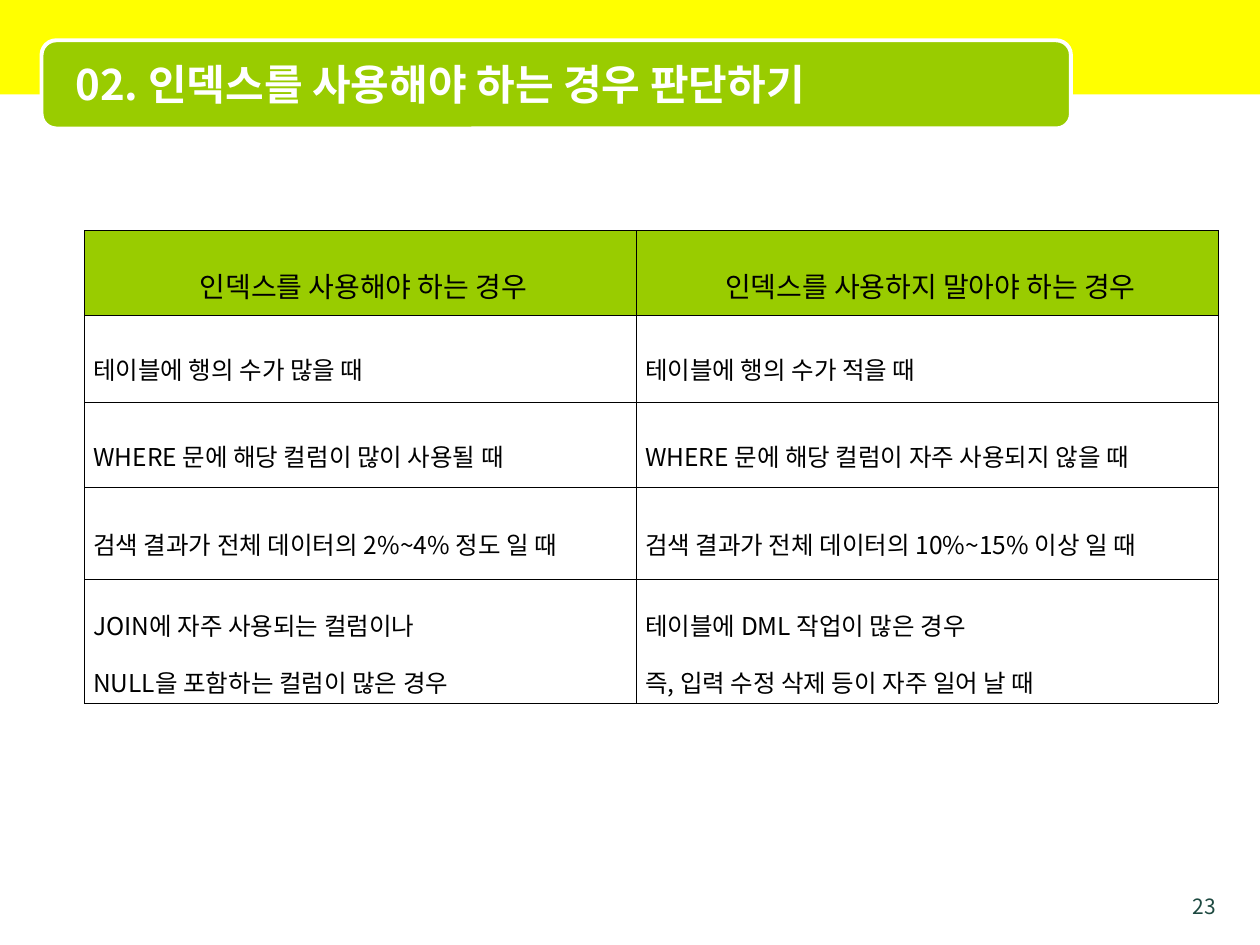
from lxml.etree import SubElement
from pptx import Presentation
from pptx.dml.color import RGBColor
from pptx.enum.shapes import MSO_SHAPE
from pptx.enum.text import MSO_ANCHOR, PP_ALIGN
from pptx.oxml.ns import qn
from pptx.util import Inches, Pt

FONT = "Noto Sans CJK KR"
YELLOW = RGBColor(0xFF, 0xFF, 0x00)
GREEN = RGBColor(0x99, 0xCC, 0x00)
DARK_GREEN = RGBColor(0x1D, 0x49, 0x40)
WHITE = RGBColor(0xFF, 0xFF, 0xFF)
BLACK = RGBColor(0x00, 0x00, 0x00)

COLUMN_WIDTHS = [4.38, 4.62]
ROW_HEIGHTS = [0.67, 0.69, 0.68, 0.73, 0.98]
ROWS = [
    ("인덱스를 사용해야 하는 경우", "인덱스를 사용하지 말아야 하는 경우"),
    ("테이블에 행의 수가 많을 때", "테이블에 행의 수가 적을 때"),
    ("WHERE 문에 해당 컬럼이 많이 사용될 때",
     "WHERE 문에 해당 컬럼이 자주 사용되지 않을 때"),
    ("검색 결과가 전체 데이터의 2%~4% 정도 일 때",
     "검색 결과가 전체 데이터의 10%~15% 이상 일 때"),
    ("JOIN에 자주 사용되는 컬럼이나\nNULL을 포함하는 컬럼이 많은 경우",
     "테이블에 DML 작업이 많은 경우\n즉, 입력 수정 삭제 등이 자주 일어 날 때"),
]


def style_paragraph(para, size, color, align, bold=False):
    para.alignment = align
    font = para.font
    font.size = Pt(size)
    font.bold = bold
    font.color.rgb = color
    font.name = FONT
    # Hangul takes its typeface from the East Asian font
    SubElement(para._p.pPr.find(qn("a:defRPr")), qn("a:ea"), typeface=FONT)


def add_panel(page, kind, box, fill):
    panel = page.shapes.add_shape(kind, *map(Inches, box))
    panel.shadow.inherit = False
    panel.fill.solid()
    panel.fill.fore_color.rgb = fill
    panel.line.fill.background()
    return panel


def add_label(page, box, text, size, color, align, anchor=MSO_ANCHOR.TOP, bold=False):
    frame = page.shapes.add_textbox(*map(Inches, box)).text_frame
    frame.word_wrap = True
    frame.vertical_anchor = anchor
    frame.text = text
    style_paragraph(frame.paragraphs[0], size, color, align, bold)


def add_header(page, left, top, width, title):
    add_panel(page, MSO_SHAPE.RECTANGLE, (left, top, width, 0.75), YELLOW)
    plate = add_panel(page, MSO_SHAPE.ROUNDED_RECTANGLE,
                      (left + 0.33, top + 0.32, 8.17, 0.7), GREEN)
    plate.line.color.rgb = WHITE
    plate.line.width = Pt(2.25)
    add_label(page, (left + 0.5, top + 0.35, 7.92, 0.62), title, 24, WHITE,
              PP_ALIGN.LEFT, MSO_ANCHOR.MIDDLE, bold=True)


def add_borders(cell):
    properties = cell._tc.get_or_add_tcPr()
    for position, side in enumerate(("lnL", "lnR", "lnT", "lnB")):
        line = properties.makeelement(qn(f"a:{side}"), {"w": str(Pt(0.11))})
        fill = SubElement(line, qn("a:solidFill"))
        SubElement(fill, qn("a:srgbClr"), val=str(BLACK))
        properties.insert(position, line)


def fill_cell(cell, text, is_heading):
    cell.text = text
    cell.vertical_anchor = MSO_ANCHOR.MIDDLE
    cell.margin_left, cell.margin_right = Inches(0.07), Inches(0.02)
    cell.margin_top = cell.margin_bottom = Inches(0.05)
    if is_heading:
        cell.fill.solid()
        cell.fill.fore_color.rgb = GREEN
    else:
        cell.fill.background()
    for para in cell.text_frame.paragraphs:
        style_paragraph(para, 16 if is_heading else 14, BLACK,
                        PP_ALIGN.CENTER if is_heading else PP_ALIGN.JUSTIFY)
        para.line_spacing = 1.6
    add_borders(cell)


def add_comparison_table(page, left, top):
    table = page.shapes.add_table(
        len(ROWS), len(COLUMN_WIDTHS), Inches(left), Inches(top),
        Inches(sum(COLUMN_WIDTHS)), Inches(sum(ROW_HEIGHTS))).table
    table.horz_banding = False
    table.first_row = False
    for column, width in zip(table.columns, COLUMN_WIDTHS):
        column.width = Inches(width)
    for row, height, texts in zip(table.rows, ROW_HEIGHTS, ROWS):
        row.height = Inches(height)
        for cell, text in zip(row.cells, texts):
            fill_cell(cell, text, texts is ROWS[0])


def main():
    deck = Presentation()
    deck.slide_width, deck.slide_height = Inches(10), Inches(7.5)
    page = deck.slides.add_slide(deck.slide_layouts[6])
    add_header(page, 0, 0, 10, "02. 인덱스를 사용해야 하는 경우 판단하기")
    add_comparison_table(page, 0.67, 1.83)
    add_label(page, (9.25, 7.04, 0.5, 0.21), "23", 12, DARK_GREEN, PP_ALIGN.RIGHT)
    deck.save("out.pptx")


if __name__ == "__main__":
    main()
